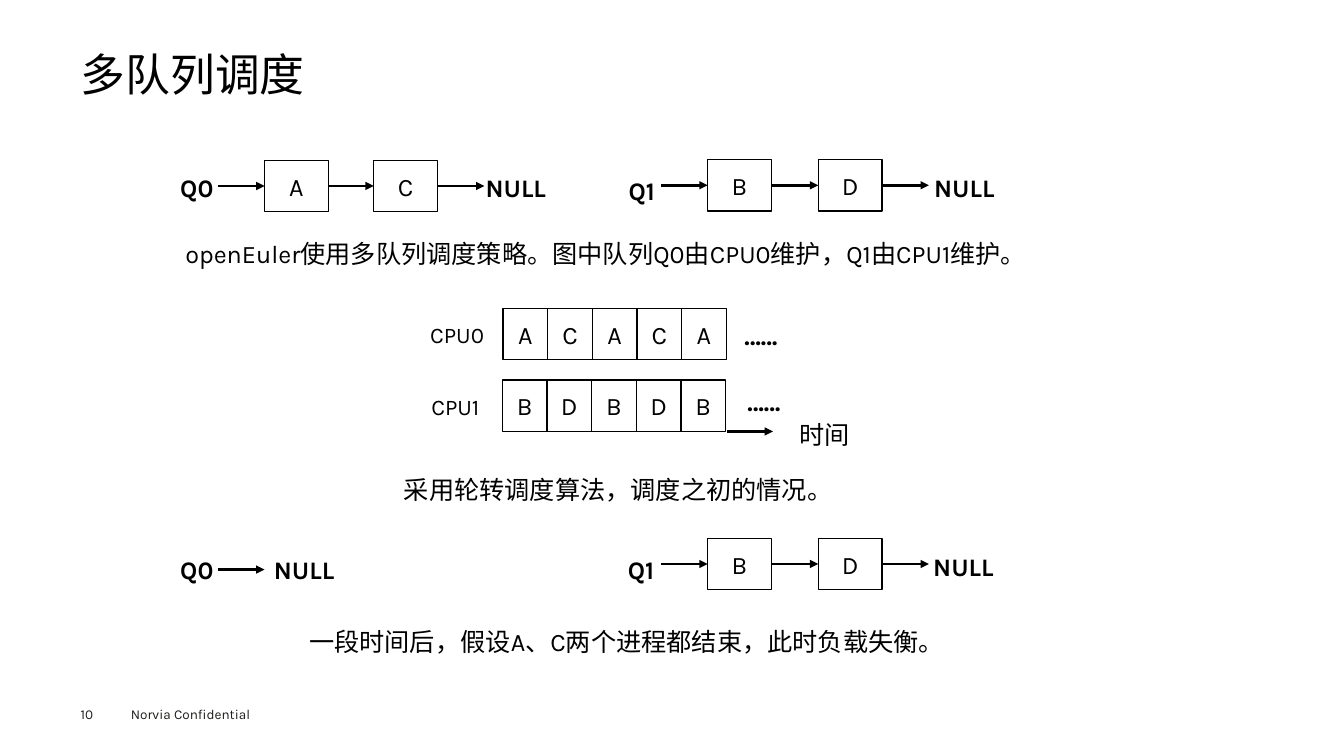
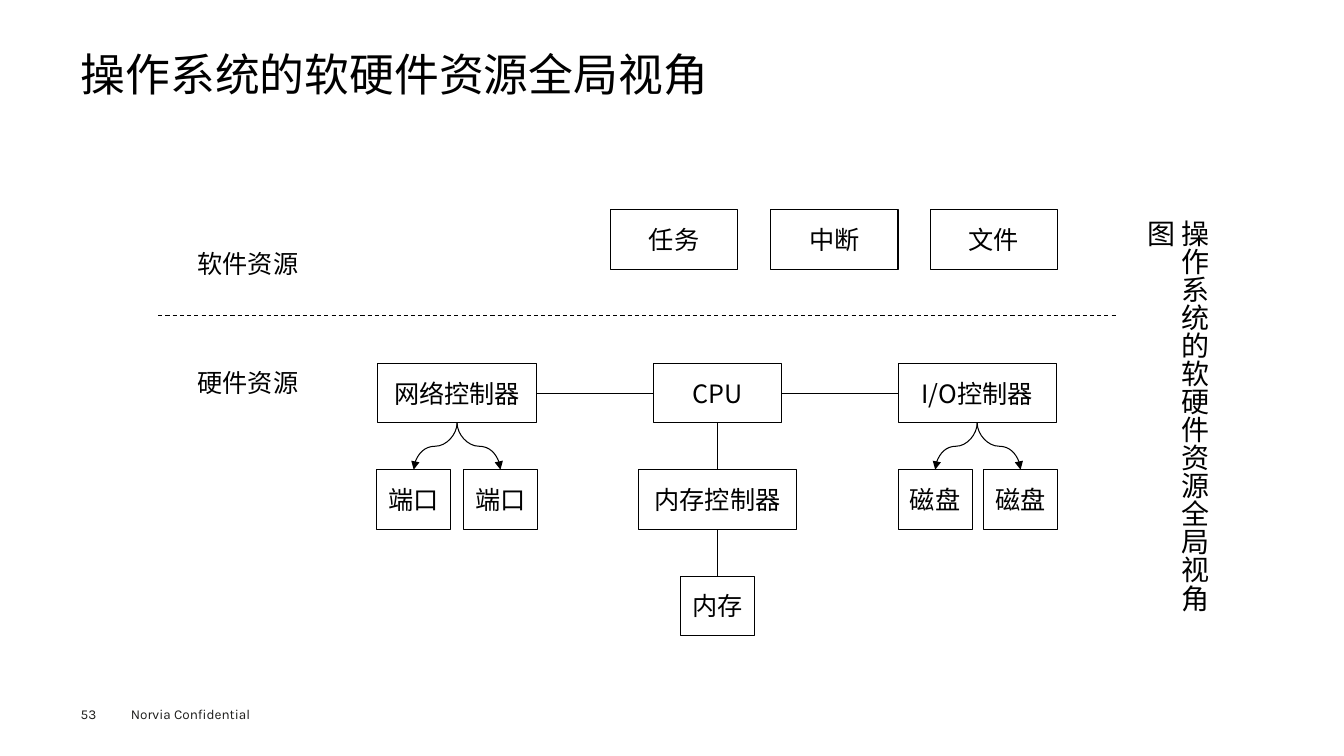
"""Build two operating-system slides: multi-queue scheduling and the resource overview."""
from lxml import etree
from pptx import Presentation
from pptx.dml.color import RGBColor
from pptx.enum.dml import MSO_LINE
from pptx.enum.shapes import MSO_CONNECTOR, MSO_SHAPE
from pptx.enum.text import MSO_ANCHOR, PP_ALIGN
from pptx.oxml.ns import qn
from pptx.util import Pt

LEFT, CENTER = PP_ALIGN.LEFT, PP_ALIGN.CENTER
MIDDLE = MSO_ANCHOR.MIDDLE
RECTANGLE = MSO_SHAPE.RECTANGLE
STRAIGHT, CURVE = MSO_CONNECTOR.STRAIGHT, MSO_CONNECTOR.CURVE
DASH = MSO_LINE.DASH
TOP_SIDE, LEFT_SIDE, BOTTOM_SIDE, RIGHT_SIDE = range(4)

KARLA, NOTO = "Karla", "Noto Sans CJK SC"
BLACK, FOOTER_GREY = "000000", "1D1D1B"
FOOTER = "Norvia Confidential"

QUEUES = [
    dict(label="Q0", label_at=(121.7, 119.5), boxes="AC", first=189, pitch=78,
         top=114.5, null_at=(339.8, 119.5)),
    dict(label="Q1", label_at=(442, 121.7), boxes="BD", first=505.5, pitch=79,
         top=114, null_at=(660.2, 119.5)),
    dict(label="Q0", label_at=(121.7, 392.4), boxes="", first=189, pitch=0,
         top=388.5, null_at=(188.6, 392.4)),
    dict(label="Q1", label_at=(441.5, 392.4), boxes="BD", first=505.5, pitch=79,
         top=384.5, null_at=(659.5, 390.2)),
]
QUEUE_BOX = (45.5, 36.7)
QUEUE_ARROW = 33.5

TIMELINES = [
    dict(label="CPU0", label_at=(300.2, 225.4), cells="ACACA", left=359.3, top=220.3,
         dots_at=(514, 225.4)),
    dict(label="CPU1", label_at=(301, 277.2), cells="BDBDB", left=358.8, top=271.4,
         dots_at=(516.2, 272.2)),
]
CELL = (31.9, 36.7)
TIME_ARROW = (519, 308.2, 552.2, 308.2)

CAPTIONS = [
    ("openEuler使用多队列调度策略。图中队列Q0由CPU0维护，Q1由CPU1维护。", (125.3, 167, 625, 28.8)),
    ("采用轮转调度算法，调度之初的情况。", (281.5, 335.5, 330, 28.8)),
    ("一段时间后，假设A、C两个进程都结束，此时负载失衡。", (213.8, 443.5, 496, 28.8)),
]

WIDE, MEDIUM, NARROW, NODE_HEIGHT = 113, 91, 53, 42.5
SOFTWARE_TOP = 149.8
CONTROLLER_TOP, DEVICE_TOP, MEMORY_TOP = (259.5 + 76 * row for row in range(3))
NODES = {
    "task": ("任务", 481.5, SOFTWARE_TOP, MEDIUM),
    "interrupt": ("中断", 596, SOFTWARE_TOP, MEDIUM),
    "file": ("文件", 710, SOFTWARE_TOP, MEDIUM),
    "network": ("网络控制器", 326.5, CONTROLLER_TOP, WIDE),
    "cpu": ("CPU", 512.5, CONTROLLER_TOP, MEDIUM),
    "io": ("I/O控制器", 698, CONTROLLER_TOP, WIDE),
    "port 1": ("端口", 295.5, DEVICE_TOP, NARROW),
    "port 2": ("端口", 357.5, DEVICE_TOP, NARROW),
    "memory controller": ("内存控制器", 512.5, DEVICE_TOP, WIDE),
    "disk 1": ("磁盘", 668, DEVICE_TOP, NARROW),
    "disk 2": ("磁盘", 729, DEVICE_TOP, NARROW),
    "memory": ("内存", 512.5, MEMORY_TOP, NARROW),
}
LINKS = [
    ("network", RIGHT_SIDE, "cpu", LEFT_SIDE),
    ("cpu", RIGHT_SIDE, "io", LEFT_SIDE),
    ("cpu", BOTTOM_SIDE, "memory controller", TOP_SIDE),
    ("memory controller", BOTTOM_SIDE, "memory", TOP_SIDE),
]
BRANCHES = [("network", "port 1"), ("network", "port 2"), ("io", "disk 1"), ("io", "disk 2")]
LAYERS = [("软件资源", (134, 173.5, 90, 28.8)), ("硬件资源", (134, 258.5, 90, 28.8))]
DIVIDER = (113, 225.4, 799, 225.4)
SIDE_CAPTION = ("操作系统的软硬件资源全局视角图", (822.2, 149.8, 38.2, 313.2))


def color(value):
    return RGBColor.from_string(value)


def points(values):
    return [Pt(value) for value in values]


def write(frame, text, size=18, font=KARLA, ink=BLACK, bold=False, align=LEFT,
          insets=(7.2, 3.6), spacing=None):
    frame.word_wrap = True
    frame.vertical_anchor = MIDDLE
    frame.margin_left = frame.margin_right = Pt(insets[0])
    frame.margin_top = frame.margin_bottom = Pt(insets[1])
    para = frame.paragraphs[0]
    para.alignment = align
    if spacing:
        para.line_spacing = spacing
    span = para.add_run()
    span.text = text
    span.font.size = Pt(size)
    span.font.name = font
    span.font.bold = bold
    span.font.color.rgb = color(ink)
    east_asian = etree.Element(qn("a:ea"), typeface=font)
    span.font._element.find(qn("a:latin")).addnext(east_asian)


def add_text(page, text, area, **style):
    box = page.shapes.add_textbox(*points(area))
    write(box.text_frame, text, **style)
    return box


def add_box(page, text, area, line_width=1, **style):
    box = page.shapes.add_shape(RECTANGLE, *points(area))
    box.shadow.inherit = False
    box.fill.background()
    box.line.color.rgb = color(BLACK)
    box.line.width = Pt(line_width)
    write(box.text_frame, text, align=CENTER, insets=(0, 0), **style)
    return box


def add_line(page, ends, width=0.75, kind=STRAIGHT, arrow=False):
    line = page.shapes.add_connector(kind, *points(ends))
    line.line.color.rgb = color(BLACK)
    line.line.width = Pt(width)
    if arrow:
        etree.SubElement(line.line._get_or_add_ln(), qn("a:tailEnd"), type="triangle")
    etree.SubElement(line._element.spPr, qn("a:effectLst"))
    return line


def add_branch(page, start, end):
    """Draw a curved arrow that leaves and arrives vertically."""
    (x1, y1), (x2, y2) = start, end
    middle_x, middle_y = (x1 + x2) / 2, (y1 + y2) / 2
    half_length, half_spread = (y2 - y1) / 2, abs(x2 - x1) / 2
    turn = 1 if x2 < x1 else -1
    branch = add_line(page, (middle_x - turn * half_length, middle_y - half_spread,
                             middle_x + turn * half_length, middle_y + half_spread),
                      kind=CURVE, arrow=True)
    branch._element.spPr.find(qn("a:xfrm")).set("rot", str(turn % 4 * 90 * 60000))


def add_page(deck, title, number, font):
    page = deck.slides.add_slide(deck.slide_layouts[5])
    heading = page.shapes.title
    heading.left, heading.top, heading.width, heading.height = points((57.6, 35.3, 844.6, 38.9))
    write(heading.text_frame, title, size=32, font=font, insets=(0, 0), spacing=0.9)
    add_text(page, FOOTER, (86.4, 500.4, 115.2, 19.4), size=9.7, ink=FOOTER_GREY)
    add_text(page, str(number), (57.6, 504, 39.6, 11.5), size=9.7, ink=FOOTER_GREY,
             insets=(0, 0))
    return page


def add_queue(page, queue):
    width, height = QUEUE_BOX
    first, top = queue["first"], queue["top"]
    middle = top + height / 2
    add_text(page, queue["label"], (*queue["label_at"], 40.3, 28.8), bold=True)
    add_text(page, "NULL", (*queue["null_at"], 62.6, 28.8), bold=True)
    boxes = [add_box(page, name, (first + index * queue["pitch"], top, width, height))
             for index, name in enumerate(queue["boxes"])]
    last_right = first + (len(boxes) - 1) * queue["pitch"] + width
    for before, after in zip([None, *boxes], [*boxes, None]):
        start = last_right if before else first - QUEUE_ARROW
        arrow = add_line(page, (start, middle, start + QUEUE_ARROW, middle),
                         width=1.75, arrow=True)
        if before:
            arrow.begin_connect(before, RIGHT_SIDE)
        if after:
            arrow.end_connect(after, LEFT_SIDE)


def add_timeline(page, timeline):
    width, height = CELL
    for index, name in enumerate(timeline["cells"]):
        add_box(page, name, (timeline["left"] + index * width, timeline["top"], width, height))
    add_text(page, timeline["label"], (*timeline["label_at"], 59, 26.6), size=16)
    add_text(page, "……", (*timeline["dots_at"], 59, 28.8), bold=True, align=CENTER)


def build_scheduling(deck):
    page = add_page(deck, "多队列调度", 10, KARLA)
    for text, area in CAPTIONS:
        add_text(page, text, area)
    for timeline in TIMELINES:
        add_timeline(page, timeline)
    add_line(page, TIME_ARROW, width=1.75, arrow=True)
    add_text(page, "时间", (559.4, 296, 59, 28.8), align=CENTER)
    for queue in QUEUES:
        add_queue(page, queue)


def build_resources(deck):
    page = add_page(deck, "操作系统的软硬件资源全局视角", 53, NOTO)
    boxes = {}
    for key, (text, center, top, width) in NODES.items():
        area = (center - width / 2, top, width, NODE_HEIGHT)
        boxes[key] = add_box(page, text, area, line_width=0.75, font=NOTO)
    divider = add_line(page, DIVIDER)
    divider.line.dash_style = DASH
    for text, area in LAYERS:
        add_text(page, text, area, font=NOTO)
    text, area = SIDE_CAPTION
    side_caption = add_text(page, text, area, size=20, font=NOTO)
    side_caption.text_frame._txBody.bodyPr.set("vert", "eaVert")
    for source, source_side, target, target_side in LINKS:
        link = add_line(page, (0, 0, 0, 0))
        link.begin_connect(boxes[source], source_side)
        link.end_connect(boxes[target], target_side)
    for source, target in BRANCHES:
        add_branch(page, (NODES[source][1], CONTROLLER_TOP + NODE_HEIGHT),
                   (NODES[target][1], DEVICE_TOP))


def main():
    deck = Presentation()
    deck.slide_width, deck.slide_height = Pt(960), Pt(540)
    build_scheduling(deck)
    build_resources(deck)
    deck.save("out.pptx")


if __name__ == "__main__":
    main()
